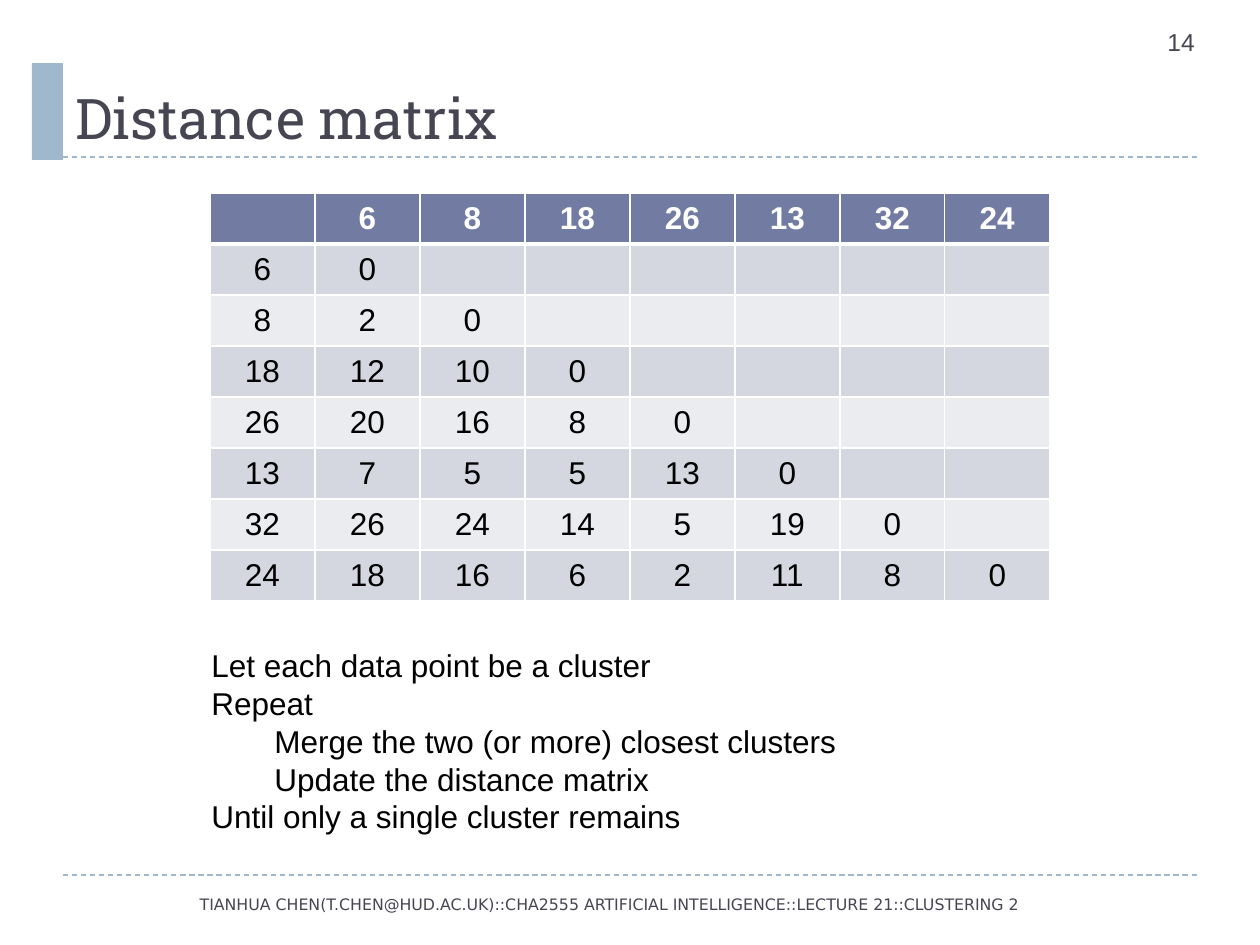
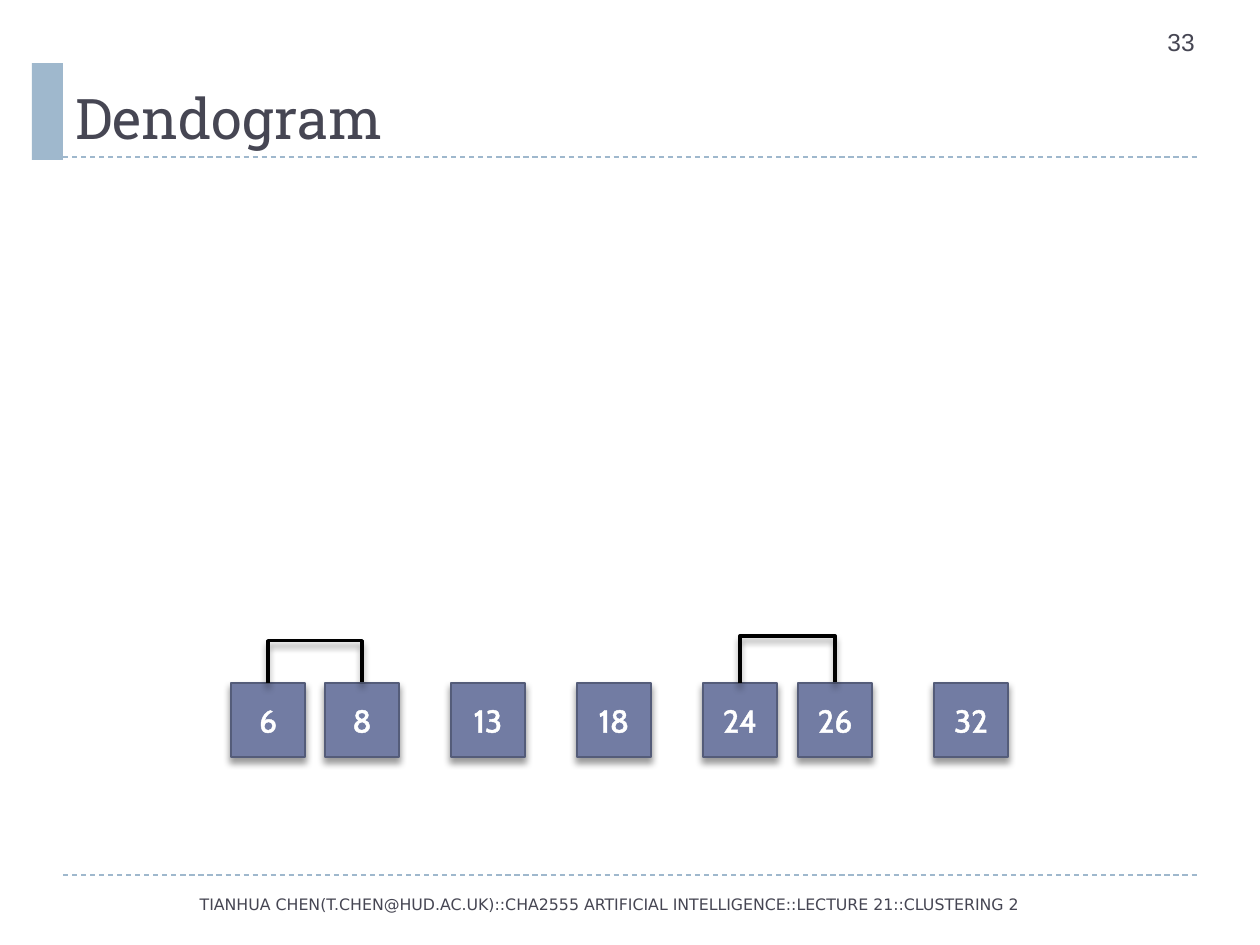
from dataclasses import dataclass

from lxml.etree import SubElement
from pptx import Presentation
from pptx.dml.color import RGBColor
from pptx.enum.dml import MSO_LINE
from pptx.enum.shapes import MSO_CONNECTOR as Connector, MSO_SHAPE as Preset
from pptx.enum.text import MSO_ANCHOR as Anchor, PP_ALIGN as Align
from pptx.oxml import parse_xml
from pptx.oxml.ns import nsdecls, qn
from pptx.util import Emu, Pt

PX_PER_INCH = 126
SLIDE_WIDTH, SLIDE_HEIGHT = 1260, 945
RULE_LEFT, RULE_RIGHT = 63, 1197
TITLE_RULE_Y, FOOTER_RULE_Y = 157, 875
FOOTER = ("TIANHUA CHEN(T.CHEN@HUD.AC.UK)::CHA2555 ARTIFICIAL INTELLIGENCE"
          "::LECTURE 21::CLUSTERING 2")

POINTS = [6, 8, 18, 26, 13, 32, 24]
DISTANCES = [
    [0],
    [2, 0],
    [12, 10, 0],
    [20, 16, 8, 0],
    [7, 5, 5, 13, 0],
    [26, 24, 14, 5, 19, 0],
    [18, 16, 6, 2, 11, 8, 0],
]
ALGORITHM = [
    (1, "Let each data point be a cluster"),
    (1, "Repeat"),
    (2, "Merge the two (or more) closest clusters"),
    (2, "Update the distance matrix"),
    (1, "Until only a single cluster remains"),
]
LEAF_LEFTS = {6: 231, 8: 325, 13: 451, 18: 577, 24: 703, 26: 798, 32: 934}
LEAF_TOP, LEAF_SIZE = 683, 74
MERGES = [(6, 8, 43), (24, 26, 48)]  # first leaf, second leaf, height


@dataclass(frozen=True)
class Theme:
    accent: str = "9FB8CD"
    heading: str = "464653"
    primary: str = "727CA3"
    primary_dark: str = "545C79"
    odd_row: str = "D5D7E0"
    even_row: str = "EBECF0"
    white: str = "FFFFFF"
    black: str = "000000"
    title_font: str = "Roboto Slab"
    body_font: str = "Arial"
    footer_font: str = "DejaVu Sans"
    leaf_font: str = "Cabin"
    title_size: int = 32
    body_size: int = 18
    number_size: int = 14
    footer_size: int = 9


def px(length):
    return Emu(round(length * 914400 / PX_PER_INCH))


def rgb(color):
    return RGBColor.from_string(color)


def add_shadow(shape):
    properties = shape._element.spPr
    for effects in properties.findall(qn("a:effectLst")):
        properties.remove(effects)
    properties.append(parse_xml(
        f'<a:effectLst {nsdecls("a")}>'
        '<a:outerShdw blurRad="50800" dist="38100" dir="5400000" rotWithShape="0">'
        '<a:srgbClr val="000000"><a:alpha val="40000"/></a:srgbClr>'
        '</a:outerShdw></a:effectLst>'))


def add_borders(cell, color, top, bottom):
    """Draw all four cell borders; the side ones are 1 pt wide."""
    properties = cell._tc.get_or_add_tcPr()
    for side, width in (("L", 1), ("R", 1), ("T", top), ("B", bottom)):
        line = SubElement(properties, qn(f"a:ln{side}"), w=str(Pt(width)))
        fill = SubElement(line, qn("a:solidFill"))
        SubElement(fill, qn("a:srgbClr"), val=color)


class Deck:
    def __init__(self, theme):
        self.theme = theme
        self.presentation = Presentation()
        self.presentation.slide_width = px(SLIDE_WIDTH)
        self.presentation.slide_height = px(SLIDE_HEIGHT)
        self.slide = None

    def start_slide(self, title, number):
        """Add a slide with the shared rules, title band, number and footer."""
        theme = self.theme
        layout = self.presentation.slide_layouts[6]
        self.slide = self.presentation.slides.add_slide(layout)
        for y in (FOOTER_RULE_Y, TITLE_RULE_Y):
            self.dashed_rule(y)
        self.rectangle(32, 63, 31, 97, theme.accent)
        self.text(1155, 21, 105, 50, [(0, str(number))], theme.body_font,
                  theme.number_size, theme.heading)
        self.text(63, 21, 1134, 136, [(0, title)], theme.title_font,
                  theme.title_size, theme.heading, anchor=Anchor.BOTTOM)
        self.text(25, 877, 1168, 55, [(0, FOOTER)], theme.footer_font,
                  theme.footer_size, theme.heading, Align.CENTER, Anchor.MIDDLE)

    def style(self, paragraph, font, size, color, align=Align.LEFT, bold=False):
        paragraph.alignment = align
        paragraph.font.name = font
        paragraph.font.size = Pt(size)
        paragraph.font.bold = bold
        paragraph.font.color.rgb = rgb(color)

    def text(self, left, top, width, height, lines, font, size, color,
             align=Align.LEFT, anchor=Anchor.TOP):
        """Add a text box; lines are (indent level, text) pairs."""
        box = self.slide.shapes.add_textbox(px(left), px(top), px(width), px(height))
        frame = box.text_frame
        frame.word_wrap = True
        frame.vertical_anchor = anchor
        for index, (level, line) in enumerate(lines):
            paragraph = frame.add_paragraph() if index else frame.paragraphs[0]
            paragraph.text = line
            if level:
                paragraph.level = level
                properties = paragraph._p.get_or_add_pPr()
                properties.set("marL", str(px(63 * level)))
                properties.set("indent", "0")
            self.style(paragraph, font, size, color, align)

    def dashed_rule(self, y):
        rule = self.slide.shapes.add_connector(
            Connector.STRAIGHT, px(RULE_LEFT), px(y), px(RULE_RIGHT), px(y))
        rule.line.color.rgb = rgb(self.theme.accent)
        rule.line.width = Pt(0.75)
        rule.line.dash_style = MSO_LINE.DASH
        SubElement(rule._element.spPr, qn("a:effectLst"))

    def rectangle(self, left, top, width, height, fill):
        shape = self.slide.shapes.add_shape(
            Preset.RECTANGLE, px(left), px(top), px(width), px(height))
        shape.shadow.inherit = False
        shape.fill.solid()
        shape.fill.fore_color.rgb = rgb(fill)
        shape.line.fill.background()
        return shape

    def leaf(self, value, left):
        theme = self.theme
        shape = self.rectangle(left, LEAF_TOP, LEAF_SIZE, LEAF_SIZE, theme.primary)
        shape.line.color.rgb = rgb(theme.primary_dark)
        shape.line.width = Pt(1.5)
        add_shadow(shape)
        shape.text_frame.vertical_anchor = Anchor.MIDDLE
        paragraph = shape.text_frame.paragraphs[0]
        paragraph.text = str(value)
        self.style(paragraph, theme.leaf_font, theme.body_size, theme.white,
                   Align.CENTER)
        outline = SubElement(paragraph.runs[0]._r.get_or_add_rPr(), qn("a:ln"),
                             w=str(Pt(1.45)))
        fill = SubElement(outline, qn("a:solidFill"))
        SubElement(fill, qn("a:srgbClr"), val=theme.white)
        return shape

    def merge(self, first, second, rise):
        """Join the tops of two leaves with a bracket of the given height."""
        bracket = self.slide.shapes.add_connector(Connector.ELBOW, 0, 0, 0, 0)
        bracket.begin_connect(first, 0)
        bracket.end_connect(second, 0)
        span = second.left - first.left
        # A one-px-wide elbow on its side: the adjustment is then the rise in px.
        bracket.left = first.left + (first.width + span - px(1)) // 2
        bracket.top = first.top - span // 2
        bracket.width, bracket.height = px(1), span
        properties = bracket._element.spPr
        frame = properties.find(qn("a:xfrm"))
        for name, value in (("rot", "5400000"), ("flipH", "1"), ("flipV", "1")):
            frame.set(name, value)
        geometry = properties.find(qn("a:prstGeom"))
        SubElement(geometry.find(qn("a:avLst")), qn("a:gd"),
                   name="adj1", fmla=f"val {rise * 100000}")
        bracket.line.color.rgb = rgb(self.theme.black)
        bracket.line.width = Pt(2)
        add_shadow(bracket)

    def matrix(self, left, top, column_width, row_height, rows):
        """Add a table with a header row; short rows leave empty cells."""
        theme = self.theme
        count = len(rows[0])
        table = self.slide.shapes.add_table(
            len(rows), count, px(left), px(top),
            px(column_width * count), px(row_height * len(rows))).table
        for column in table.columns:
            column.width = px(column_width)
        for index, (row, values) in enumerate(zip(table.rows, rows)):
            row.height = px(row_height)
            header = index == 0
            band = theme.odd_row if index % 2 else theme.even_row
            for position, cell in enumerate(row.cells):
                add_borders(cell, theme.white, 3 if index == 1 else 1,
                            3 if header else 1)
                cell.fill.solid()
                cell.fill.fore_color.rgb = rgb(theme.primary if header else band)
                cell.vertical_anchor = Anchor.MIDDLE
                paragraph = cell.text_frame.paragraphs[0]
                if position < len(values):
                    paragraph.text = str(values[position])
                self.style(paragraph, theme.body_font, theme.body_size,
                           theme.white if header else theme.black,
                           Align.CENTER, header)


def build_distance_matrix(deck):
    deck.start_slide("Distance matrix", 14)
    rows = [[point, *distances] for point, distances in zip(POINTS, DISTANCES)]
    deck.matrix(210, 193, 105, 51, [["", *POINTS], *rows])
    deck.text(136, 640, 735, 204, ALGORITHM, deck.theme.body_font,
              deck.theme.body_size, deck.theme.black)


def build_dendrogram(deck):
    deck.start_slide("Dendogram", 33)
    leaves = {value: deck.leaf(value, left) for value, left in LEAF_LEFTS.items()}
    for first, second, rise in MERGES:
        deck.merge(leaves[first], leaves[second], rise)


def main():
    deck = Deck(Theme())
    build_distance_matrix(deck)
    build_dendrogram(deck)
    deck.presentation.save("out.pptx")


if __name__ == "__main__":
    main()
